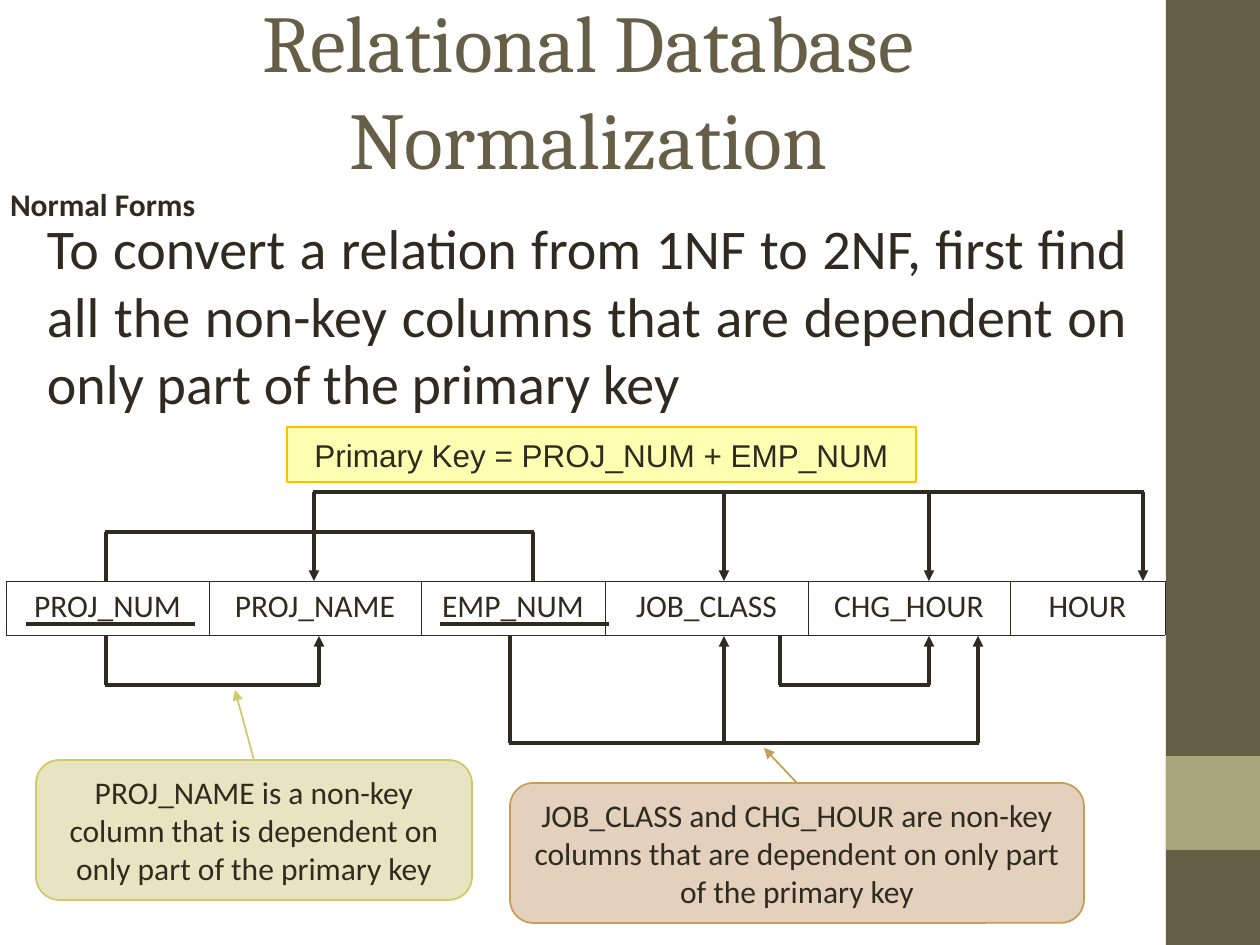
import pptx
import pptx.util
import pptx.dml.color
import pptx.enum.shapes
import pptx.enum.text
import pptx.oxml
import pptx.oxml.ns
from lxml import etree

RGB = pptx.dml.color.RGBColor
SHAPE = pptx.enum.shapes.MSO_SHAPE
ALIGN = pptx.enum.text.PP_ALIGN
ANCHOR = pptx.enum.text.MSO_ANCHOR
qn = pptx.oxml.ns.qn

WHITE = RGB(0xFF, 0xFF, 0xFF)
INK = RGB(0x2F, 0x2B, 0x20)
BROWN = RGB(0x67, 0x5E, 0x47)
SAGE = RGB(0xA9, 0xA5, 0x7C)
YELLOW = RGB(0xFF, 0xFF, 0x00)
AMBER = RGB(0xFF, 0xC0, 0x00)
OLIVE = RGB(0xD0, 0xC9, 0x67)
PALE_OLIVE = RGB(0xE8, 0xE4, 0xC1)
TAN = RGB(0xC6, 0x9C, 0x58)
PALE_TAN = RGB(0xE3, 0xD1, 0xBD)

PX_PER_INCH = 126


def px(length):
    return round(length * 914400 / PX_PER_INCH)


def write_text(frame, text, size=18, font="Calibri", color=INK, bold=False,
               align=ALIGN.CENTER, spacing=None):
    paragraph = frame.paragraphs[0]
    paragraph.alignment = align
    if spacing:
        paragraph.line_spacing = pptx.util.Pt(spacing)
    run = paragraph.add_run()
    run.text = text
    run.font.size = pptx.util.Pt(size)
    run.font.name = font
    run.font.bold = bold
    run.font.color.rgb = color


class SlideBuilder:
    def __init__(self, slide):
        self.slide = slide
        self.ink = INK
        self.line_width = 2

    def text_box(self, left, top, width, height, text, margins=(13, 6),
                 anchor=ANCHOR.TOP, **style):
        box = self.slide.shapes.add_textbox(px(left), px(top), px(width), px(height))
        frame = box.text_frame
        frame.word_wrap = True
        frame.vertical_anchor = anchor
        frame.margin_left = frame.margin_right = px(margins[0])
        frame.margin_top = frame.margin_bottom = px(margins[1])
        write_text(frame, text, **style)

    def shape(self, kind, left, top, width, height, fill, line=None, line_width=1,
              opacity=None, text=None, anchor=ANCHOR.TOP, **style):
        shape = self.slide.shapes.add_shape(kind, px(left), px(top), px(width), px(height))
        shape.shadow.inherit = False
        shape.fill.solid()
        shape.fill.fore_color.rgb = fill
        if opacity:
            rgb = next(shape.fill._xPr.iter(qn("a:srgbClr")))
            etree.SubElement(rgb, qn("a:alpha")).set("val", str(opacity * 1000))
        if line is None:
            shape.line.fill.background()
        else:
            shape.line.color.rgb = line
            shape.line.width = pptx.util.Pt(line_width)
        if text:
            shape.text_frame.word_wrap = True
            shape.text_frame.vertical_anchor = anchor
            write_text(shape.text_frame, text, **style)
        return shape

    def line(self, x1, y1, x2, y2, color=None, width=None, arrow=False):
        line = self.slide.shapes.add_connector(
            pptx.enum.shapes.MSO_CONNECTOR.STRAIGHT, px(x1), px(y1), px(x2), px(y2))
        line.line.color.rgb = color or self.ink
        line.line.width = pptx.util.Pt(width or self.line_width)
        if arrow:
            etree.SubElement(line.line._get_or_add_ln(), qn("a:tailEnd")).set("type", "triangle")
        etree.SubElement(line._element.spPr, qn("a:effectLst"))
        return line

    def dependency(self, bar_y, row_y, sources, targets):
        """Draw a bar with plain stems to the sources and arrows to the targets."""
        ends = sources + targets
        self.line(min(ends) - 1, bar_y, max(ends) + 1, bar_y)
        for x in ends:
            self.line(x, bar_y, x, row_y, arrow=x in targets)

    def callout(self, left, top, width, height, text, fill, line, tip):
        box = self.shape(SHAPE.ROUNDED_RECTANGLE, left, top, width, height, fill,
                         line=line, text=text)
        pointer = self.line(left + width // 2, top, *tip, color=line, width=1, arrow=True)
        pointer.begin_connect(box, 0)

    def header_row(self, left, top, height, columns):
        table = self.slide.shapes.add_table(
            1, len(columns), px(left), px(top),
            px(sum(width for _, width in columns)), px(height)).table
        table.first_row = table.horz_banding = False
        table.rows[0].height = px(height)
        for index, (name, width) in enumerate(columns):
            table.columns[index].width = px(width)
            cell = table.cell(0, index)
            properties = cell._tc.get_or_add_tcPr()
            for side in ("lnL", "lnR", "lnT", "lnB"):
                border = etree.SubElement(properties, qn(f"a:{side}"))
                border.set("w", str(pptx.util.Pt(0.45)))
                solid = etree.SubElement(border, qn("a:solidFill"))
                etree.SubElement(solid, qn("a:srgbClr")).set("val", str(self.ink))
            cell.fill.background()
            write_text(cell.text_frame, name)


def main():
    deck = pptx.Presentation()
    deck.slide_width, deck.slide_height = px(1260), px(945)
    slide = deck.slides.add_slide(deck.slide_layouts[6])
    slide.background.fill.solid()
    slide.background.fill.fore_color.rgb = WHITE
    builder = SlideBuilder(slide)

    # Side band
    builder.shape(SHAPE.RECTANGLE, 1166, 0, 94, 945, BROWN)
    builder.shape(SHAPE.RECTANGLE, 1166, 756, 94, 94, SAGE)

    # Title and introduction
    builder.text_box(63, 10, 1050, 158, "Relational Database Normalization",
                     anchor=ANCHOR.MIDDLE, size=46, font="Cambria", color=BROWN)
    builder.text_box(0, 191, 1126, 44, "Normal Forms", margins=(10, 0),
                     bold=True, align=ALIGN.LEFT, spacing=18)
    builder.text_box(34, 208, 1107, 149,
                     "To convert a relation from 1NF to 2NF, first find all the non-key "
                     "columns that are dependent on only part of the primary key",
                     size=32, align=ALIGN.JUSTIFY)

    # Relation columns, with the key columns underlined
    builder.header_row(6, 581, 54, [
        ("PROJ_NUM", 203), ("PROJ_NAME", 212), ("EMP_NUM", 184),
        ("JOB_CLASS", 203), ("CHG_HOUR", 202), ("HOUR", 155)])
    for key_left in (26, 440):
        builder.line(key_left, 624, key_left + 169, 624)

    # Dependencies above and below the row
    for bar_y, row_y, sources, targets in (
            (532, 581, [106, 533], []),
            (492, 581, [], [314, 724, 929, 1143]),
            (685, 636, [106], [319]),
            (743, 636, [510], [724, 978]),
            (685, 636, [780], [929])):
        builder.dependency(bar_y, row_y, sources, targets)

    # Primary key label
    builder.shape(SHAPE.RECTANGLE, 287, 427, 629, 55, YELLOW, line=AMBER, line_width=0.75,
                  opacity=30, text="Primary Key = PROJ_NUM + EMP_NUM",
                  anchor=ANCHOR.MIDDLE, font="Arial")

    # Explanations
    builder.callout(36, 760, 436, 140,
                    "PROJ_NAME is a non-key column that is dependent on only part of "
                    "the primary key", PALE_OLIVE, OLIVE, tip=(235, 690))
    builder.callout(510, 783, 574, 140,
                    "JOB_CLASS and CHG_HOUR are non-key columns that are dependent on "
                    "only part of the primary key", PALE_TAN, TAN, tip=(764, 748))

    deck.save("out.pptx")


if __name__ == "__main__":
    main()
